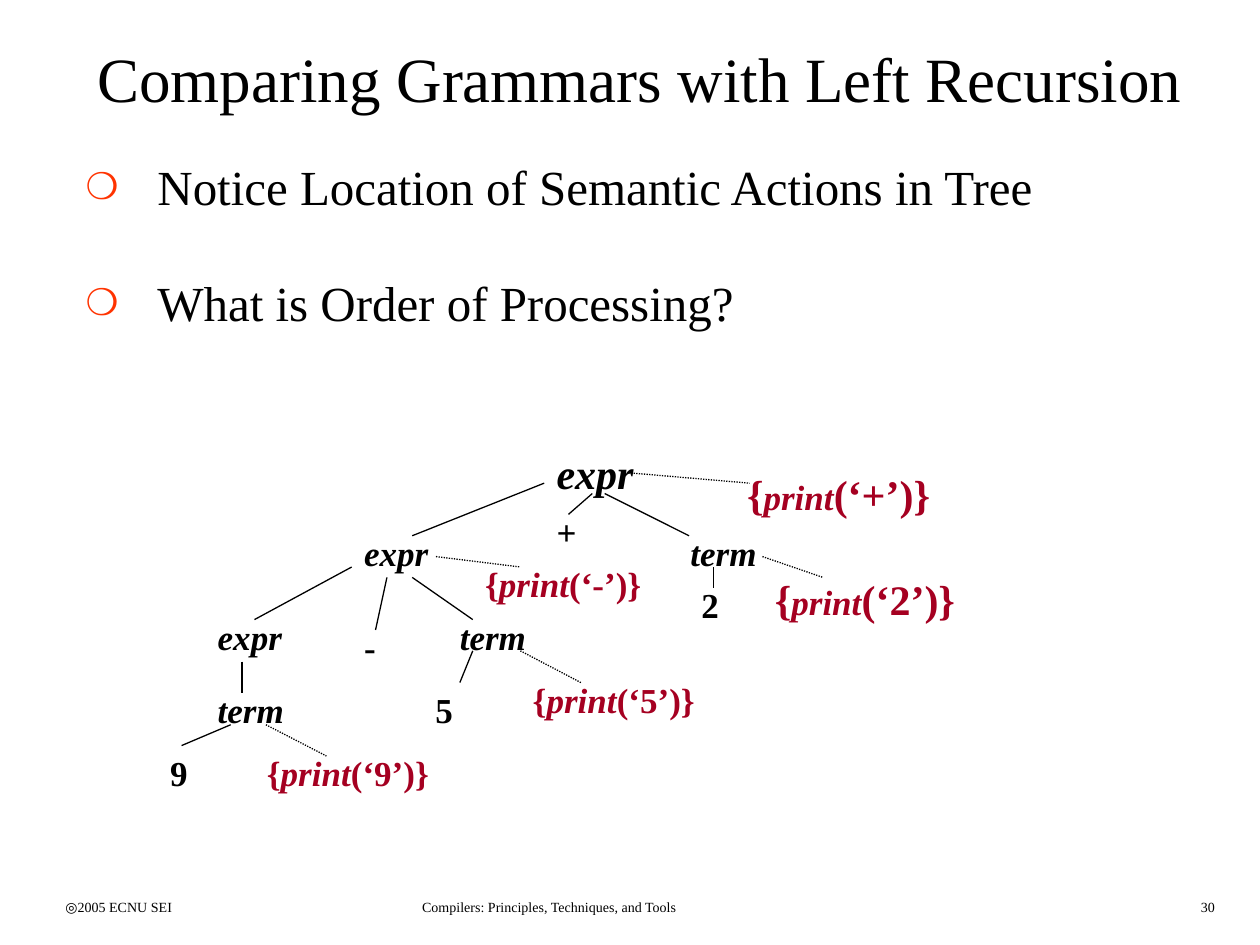
"""Build a slide with a parse tree for a left-recursive grammar and its semantic actions."""
import dataclasses

import lxml.etree
import pptx
import pptx.dml.color
import pptx.enum.dml
import pptx.enum.shapes
import pptx.enum.text
import pptx.oxml.ns
import pptx.util
from pptx.util import Cm


@dataclasses.dataclass(frozen=True)
class Theme:
    font: str = "Times New Roman"
    ink: pptx.dml.color.RGBColor = pptx.dml.color.RGBColor(0, 0, 0)
    action: pptx.dml.color.RGBColor = pptx.dml.color.RGBColor(0xA5, 0x00, 0x21)
    bullet: str = "FF3300"
    title_size: int = 36
    body_size: int = 28
    large_size: int = 24
    node_size: int = 20
    footer_size: int = 8
    line_width: float = 0.75


theme = Theme()


def style(paragraph, size, color=theme.ink, bold=False, italic=False):
    font = paragraph.font
    font.name = theme.font
    font.size = pptx.util.Pt(size)
    font.color.rgb = color
    font.bold = bold
    font.italic = italic


def add_label(slide, left, top, width, height):
    shape = slide.shapes.add_textbox(Cm(left), Cm(top), Cm(width), Cm(height))
    shape.text_frame.word_wrap = True
    return shape.text_frame.paragraphs[0]


presentation = pptx.Presentation()
presentation.slide_width = Cm(25.4)
presentation.slide_height = Cm(19.05)
slide = presentation.slides.add_slide(presentation.slide_layouts[1])

footers = [
    ("◎2005 ECNU SEI", 1.07, 5.26, pptx.enum.text.PP_ALIGN.LEFT),
    ("Compilers: Principles, Techniques, and Tools", 8.26, 9.47, pptx.enum.text.PP_ALIGN.LEFT),
    ("30", 19.48, 5.26, pptx.enum.text.PP_ALIGN.RIGHT),
]
for text, left, width, alignment in footers:
    paragraph = add_label(slide, left, 17.98, width, 0.64)
    paragraph.text = text
    paragraph.alignment = alignment
    style(paragraph, theme.footer_size)

title = slide.shapes.title
title.left, title.top, title.width, title.height = Cm(1.47), Cm(0.43), Cm(22.86), Cm(2.54)
title.text_frame.text = "Comparing Grammars with Left Recursion"
title.text_frame.auto_size = pptx.enum.text.MSO_AUTO_SIZE.NONE
title.text_frame.vertical_anchor = pptx.enum.text.MSO_ANCHOR.MIDDLE
paragraph = title.text_frame.paragraphs[0]
paragraph.alignment = pptx.enum.text.PP_ALIGN.CENTER
paragraph.line_spacing = 0.8
style(paragraph, theme.title_size)

body = slide.placeholders[1]
body.left, body.top, body.width, body.height = Cm(1.47), Cm(3.18), Cm(21.39), Cm(3.81)
body.text_frame.text = "Notice Location of Semantic Actions in Tree\nWhat is Order of Processing?"
body.text_frame.auto_size = pptx.enum.text.MSO_AUTO_SIZE.NONE
for paragraph, space in zip(body.text_frame.paragraphs, (0, 36)):
    paragraph.line_spacing = 0.89
    paragraph.space_before = pptx.util.Pt(space)
    properties = paragraph._p.get_or_add_pPr()
    properties.set("marL", str(Cm(1.45)))
    properties.set("indent", str(Cm(-1.45)))
    color = lxml.etree.SubElement(properties, pptx.oxml.ns.qn("a:buClr"))
    lxml.etree.SubElement(color, pptx.oxml.ns.qn("a:srgbClr"), val=theme.bullet)
    lxml.etree.SubElement(properties, pptx.oxml.ns.qn("a:buSzPct"), val="75000")
    lxml.etree.SubElement(properties, pptx.oxml.ns.qn("a:buChar"), char="❍")
    style(paragraph, theme.body_size)

nonterminals = [
    ("expr", 4.14, 12.28, theme.node_size),
    ("expr", 7.09, 10.58, theme.node_size),
    ("expr", 10.97, 8.89, theme.large_size),
    ("term", 9.02, 12.28, theme.node_size),
    ("term", 4.14, 13.76, theme.node_size),
    ("term", 13.67, 10.58, theme.node_size),
]
for text, left, top, size in nonterminals:
    paragraph = add_label(slide, left, top, 3.66, 1.27 if size == theme.large_size else 1.09)
    paragraph.text = text
    style(paragraph, size, bold=True, italic=True)

actions = [
    ("2", 15.37, 11.43, 7.06, theme.large_size),
    ("+", 14.81, 9.31, 7.06, theme.large_size),
    ("5", 10.49, 13.55, 7.06, theme.node_size),
    ("-", 9.53, 11.22, 4.62, theme.node_size),
    ("9", 5.13, 15.03, 7.06, theme.node_size),
]
for symbol, left, top, width, size in actions:
    paragraph = add_label(slide, left, top, width, 1.27 if size == theme.large_size else 1.09)
    style(paragraph, size, theme.action, bold=True)
    for text in ("{", "print", f"(‘{symbol}’)}}"):
        run = paragraph.add_run()
        run.text = text
        if text == "print":
            run.font.italic = True
            run.font.size = pptx.util.Pt(theme.node_size)

terminals = [
    ("5", 8.53, 13.76),
    ("+", 10.97, 10.16),
    ("2", 13.89, 11.64),
    ("-", 7.09, 12.49),
    ("9", 3.18, 15.03),
]
for text, left, top in terminals:
    paragraph = add_label(slide, left, top, 1.47, 1.09)
    paragraph.text = text
    style(paragraph, theme.node_size, bold=True)

branches = [
    (9.53, 13.12, 9.27, 13.76),
    (8.31, 11.64, 9.53, 12.49),
    (7.8, 11.64, 7.57, 12.7),
    (4.65, 14.61, 3.66, 15.03),
    (7.09, 11.43, 5.13, 12.49),
    (4.88, 13.34, 4.88, 13.97),
    (10.97, 9.74, 8.31, 10.8),
    (12.19, 9.95, 13.89, 10.8),
    (14.38, 11.43, 14.38, 11.85),
    (11.94, 9.95, 11.46, 10.37),
]
action_links = [
    (15.37, 11.22, 16.59, 11.64),
    (12.67, 9.53, 15.11, 9.74),
    (10.49, 13.12, 11.71, 13.76),
    (8.79, 11.22, 10.49, 11.43),
    (5.36, 14.61, 6.58, 15.24),
]
for lines, dash in (
    (branches, pptx.enum.dml.MSO_LINE.SOLID),
    (action_links, pptx.enum.dml.MSO_LINE.ROUND_DOT),
):
    for ends in lines:
        connector = slide.shapes.add_connector(
            pptx.enum.shapes.MSO_CONNECTOR.STRAIGHT, *(Cm(value) for value in ends)
        )
        connector.line.color.rgb = theme.ink
        connector.line.width = pptx.util.Pt(theme.line_width)
        connector.line.dash_style = dash
        lxml.etree.SubElement(connector._element.spPr, pptx.oxml.ns.qn("a:effectLst"))

presentation.save("out.pptx")
